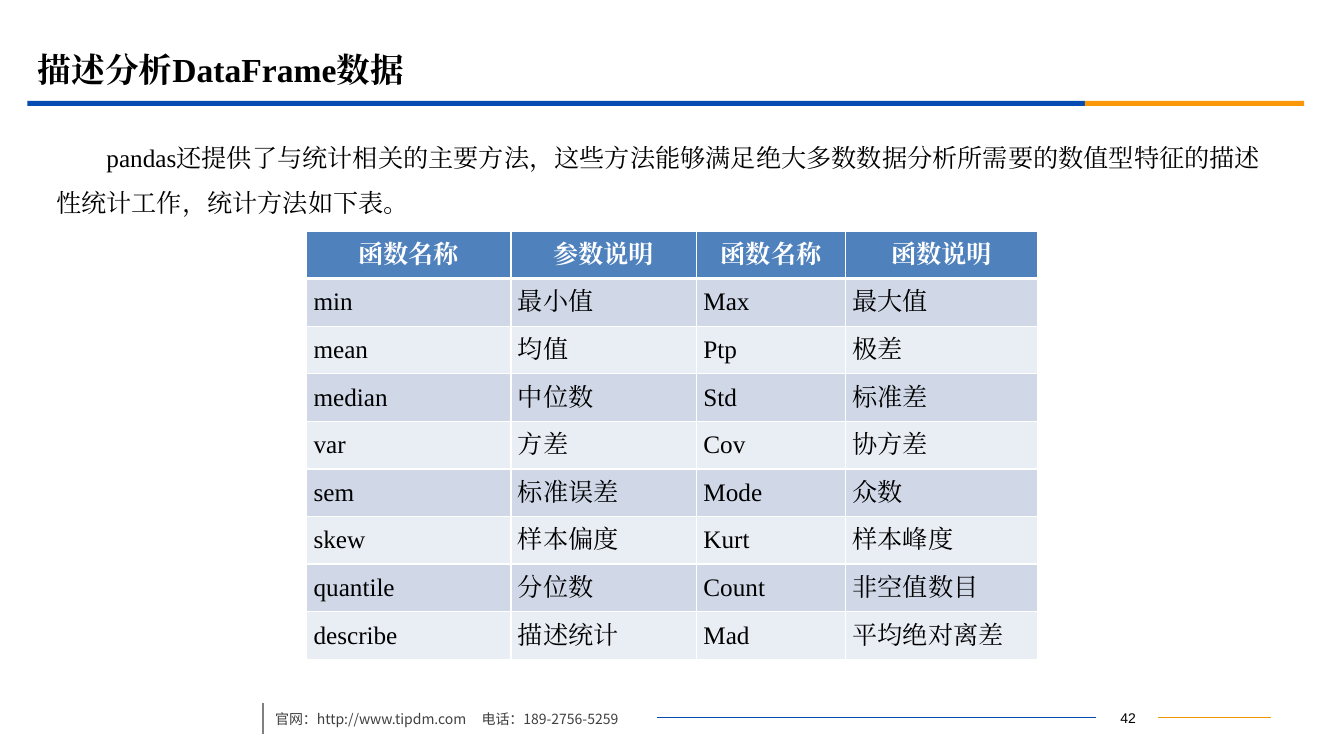
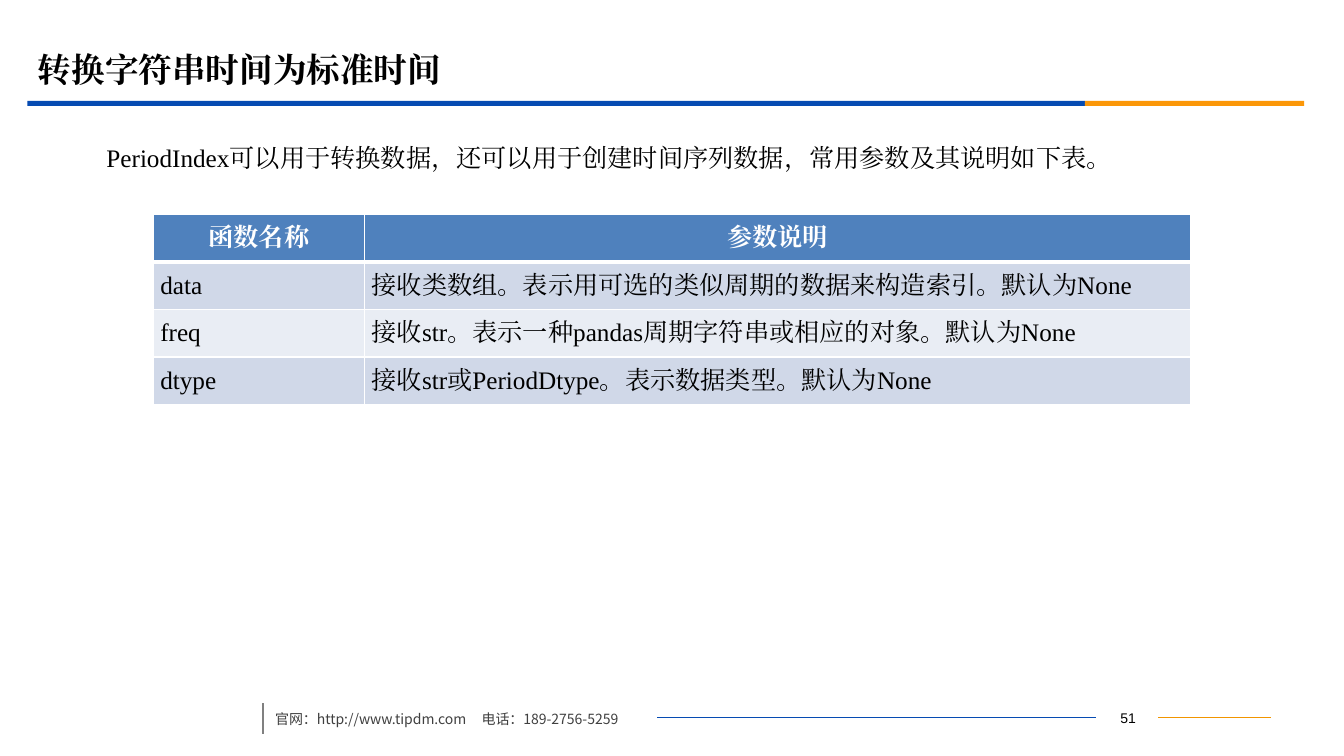
from dataclasses import dataclass

from lxml.etree import SubElement
from pptx import Presentation
from pptx.dml.color import RGBColor
from pptx.enum.shapes import MSO_CONNECTOR, MSO_SHAPE
from pptx.enum.text import MSO_ANCHOR, PP_ALIGN
from pptx.oxml.ns import qn
from pptx.util import Pt

BLACK = RGBColor(0x00, 0x00, 0x00)
WHITE = RGBColor(0xFF, 0xFF, 0xFF)
BLUE = RGBColor(0x06, 0x4B, 0xB2)
ORANGE = RGBColor(0xFB, 0x97, 0x08)
RULE_ORANGE = RGBColor(0xF1, 0x95, 0x00)
GRAY = RGBColor(0x80, 0x80, 0x80)
FOOTER_GRAY = RGBColor(0x40, 0x40, 0x40)
HEADER_FILL = RGBColor(0x4F, 0x81, 0xBD)
BAND_FILLS = (RGBColor(0xD0, 0xD8, 0xE8), RGBColor(0xE9, 0xED, 0xF4))

SERIF = "Times New Roman"
SANS = "Noto Sans CJK SC"
ROW_HEIGHT = 34


@dataclass(frozen=True)
class Box:
    """A rectangle in points."""
    left: float
    top: float
    width: float
    height: float

    def lengths(self):
        return Pt(self.left), Pt(self.top), Pt(self.width), Pt(self.height)


TITLE_BOX = Box(20, 28, 864, 42)
BAND_BOX = Box(19.5, 72, 912, 3.6)
BODY_BOX = Box(33, 87, 875, 398)
FOOTER_BOX = Box(188, 498, 720, 29)


def add_run(para, text, size, color, bold=False, font=SERIF):
    span = para.add_run()
    span.text = text
    span.font.size = Pt(size)
    span.font.bold = bold
    span.font.color.rgb = color
    span.font.name = font
    east_asian = SubElement(span.font._element, qn("a:ea"))
    east_asian.set("typeface", font)


def add_text_box(page, box, anchor=MSO_ANCHOR.TOP):
    """Add a wrapping text box and return its first paragraph."""
    frame = page.shapes.add_textbox(*box.lengths()).text_frame
    frame.word_wrap = True
    frame.vertical_anchor = anchor
    return frame.paragraphs[0]


def add_bar(page, box, color):
    bar = page.shapes.add_shape(MSO_SHAPE.RECTANGLE, *box.lengths())
    bar.shadow.inherit = False
    bar.fill.solid()
    bar.fill.fore_color.rgb = color
    bar.line.fill.background()


def add_rule(page, start, end, color, width):
    rule = page.shapes.add_connector(
        MSO_CONNECTOR.STRAIGHT, *(Pt(value) for value in start + end))
    rule.line.color.rgb = color
    rule.line.width = Pt(width)
    SubElement(rule._element.spPr, qn("a:effectLst"))


def add_band(page, box):
    blue_width = 755.5
    add_bar(page, Box(box.left, box.top, blue_width, box.height), BLUE)
    add_bar(page, Box(box.left + blue_width, box.top,
                      box.width - blue_width, box.height), ORANGE)


def add_footer(page, box, number):
    right = box.left + box.width
    rule_top = box.top + 14.6
    number_left, number_right = box.left + 594.6, box.left + 639.3
    add_rule(page, (number_right, rule_top), (right, rule_top), RULE_ORANGE, 0.75)
    add_rule(page, (box.left + 281.4, rule_top), (number_left, rule_top), BLUE, 0.75)
    add_rule(page, (box.left, box.top + 4.5), (box.left, box.top + 26), GRAY, 1.25)

    para = add_text_box(page, Box(number_left + 1, box.top + 5.3, 44.6, 18))
    para.alignment = PP_ALIGN.CENTER
    add_run(para, str(number), 10, BLACK, font="Arial")

    para = add_text_box(page, Box(box.left + 1.4, box.top, 386, 25.2))
    tabs = SubElement(para._p.get_or_add_pPr(), qn("a:tabLst"))
    SubElement(tabs, qn("a:tab"), pos=str(Pt(147.5)), algn="l")
    para.line_spacing = 1.5
    add_run(para, "官网：http://www.tipdm.com\t电话：189-2756-5259",
            10, FOOTER_GRAY, font=SANS)


def add_title(page, box, text):
    para = add_text_box(page, box, MSO_ANCHOR.MIDDLE)
    add_run(para, text, 24, BLACK, bold=True)


def add_body(page, box, text):
    para = add_text_box(page, box)
    para._p.get_or_add_pPr().set("indent", str(Pt(36)))
    para.line_spacing = 1.5
    add_run(para, text, 18, BLACK)


def set_borders(cell, top, bottom):
    """Draw white cell borders; top and bottom are widths in points."""
    properties = cell._tc.get_or_add_tcPr()
    for side, width in (("L", 1), ("R", 1), ("T", top), ("B", bottom)):
        line = SubElement(properties, qn(f"a:ln{side}"), w=str(Pt(width)))
        fill = SubElement(line, qn("a:solidFill"))
        SubElement(fill, qn("a:srgbClr"), val=str(WHITE))


def fill_cell(cell, text, row_index):
    is_header = row_index == 0
    set_borders(cell, 3 if row_index == 1 else 1, 3 if is_header else 1)
    cell.fill.solid()
    cell.fill.fore_color.rgb = (
        HEADER_FILL if is_header else BAND_FILLS[(row_index - 1) % 2])
    cell.vertical_anchor = MSO_ANCHOR.MIDDLE
    if not is_header:
        cell.margin_left = cell.margin_right = Pt(5)
        cell.margin_top = cell.margin_bottom = Pt(0)
    para = cell.text_frame.paragraphs[0]
    para.alignment = PP_ALIGN.CENTER if is_header else PP_ALIGN.JUSTIFY
    add_run(para, text, 18, WHITE if is_header else BLACK, bold=is_header)


def add_method_table(page, left, top, column_widths, rows):
    box = Box(left, top, sum(column_widths), ROW_HEIGHT * len(rows))
    table = page.shapes.add_table(
        len(rows), len(column_widths), *box.lengths()).table
    table.first_row = table.horz_banding = False
    for column, width in zip(table.columns, column_widths):
        column.width = Pt(width)
    for row_index, texts in enumerate(rows):
        table.rows[row_index].height = Pt(ROW_HEIGHT)
        for column_index, text in enumerate(texts):
            fill_cell(table.cell(row_index, column_index), text, row_index)


def add_page(deck, number, title, body):
    page = deck.slides.add_slide(deck.slide_layouts[6])
    add_band(page, BAND_BOX)
    add_footer(page, FOOTER_BOX, number)
    add_body(page, BODY_BOX, body)
    add_title(page, TITLE_BOX, title)
    return page


STATISTICS_ROWS = (
    ("函数名称", "参数说明", "函数名称", "函数说明"),
    ("min", "最小值", "Max", "最大值"),
    ("mean", "均值", "Ptp", "极差"),
    ("median", "中位数", "Std", "标准差"),
    ("var", "方差", "Cov", "协方差"),
    ("sem", "标准误差", "Mode", "众数"),
    ("skew", "样本偏度", "Kurt", "样本峰度"),
    ("quantile", "分位数", "Count", "非空值数目"),
    ("describe", "描述统计", "Mad", "平均绝对离差"),
)

PERIOD_INDEX_ROWS = (
    ("函数名称", "参数说明"),
    ("data", "接收类数组。表示用可选的类似周期的数据来构造索引。默认为None"),
    ("freq", "接收str。表示一种pandas周期字符串或相应的对象。默认为None"),
    ("dtype", "接收str或PeriodDtype。表示数据类型。默认为None"),
)


def main():
    deck = Presentation()
    deck.slide_width, deck.slide_height = Pt(960), Pt(540)

    page = add_page(
        deck, 42, "描述分析DataFrame数据",
        "pandas还提供了与统计相关的主要方法，这些方法能够满足绝大多数数据分析"
        "所需要的数值型特征的描述性统计工作，统计方法如下表。")
    add_method_table(page, 219, 165, (146, 132.5, 106.5, 137), STATISTICS_ROWS)

    page = add_page(
        deck, 51, "转换字符串时间为标准时间",
        "PeriodIndex可以用于转换数据，还可以用于创建时间序列数据，"
        "常用参数及其说明如下表。")
    add_method_table(page, 109.5, 153, (151, 590), PERIOD_INDEX_ROWS)

    deck.save("out.pptx")


if __name__ == "__main__":
    main()
